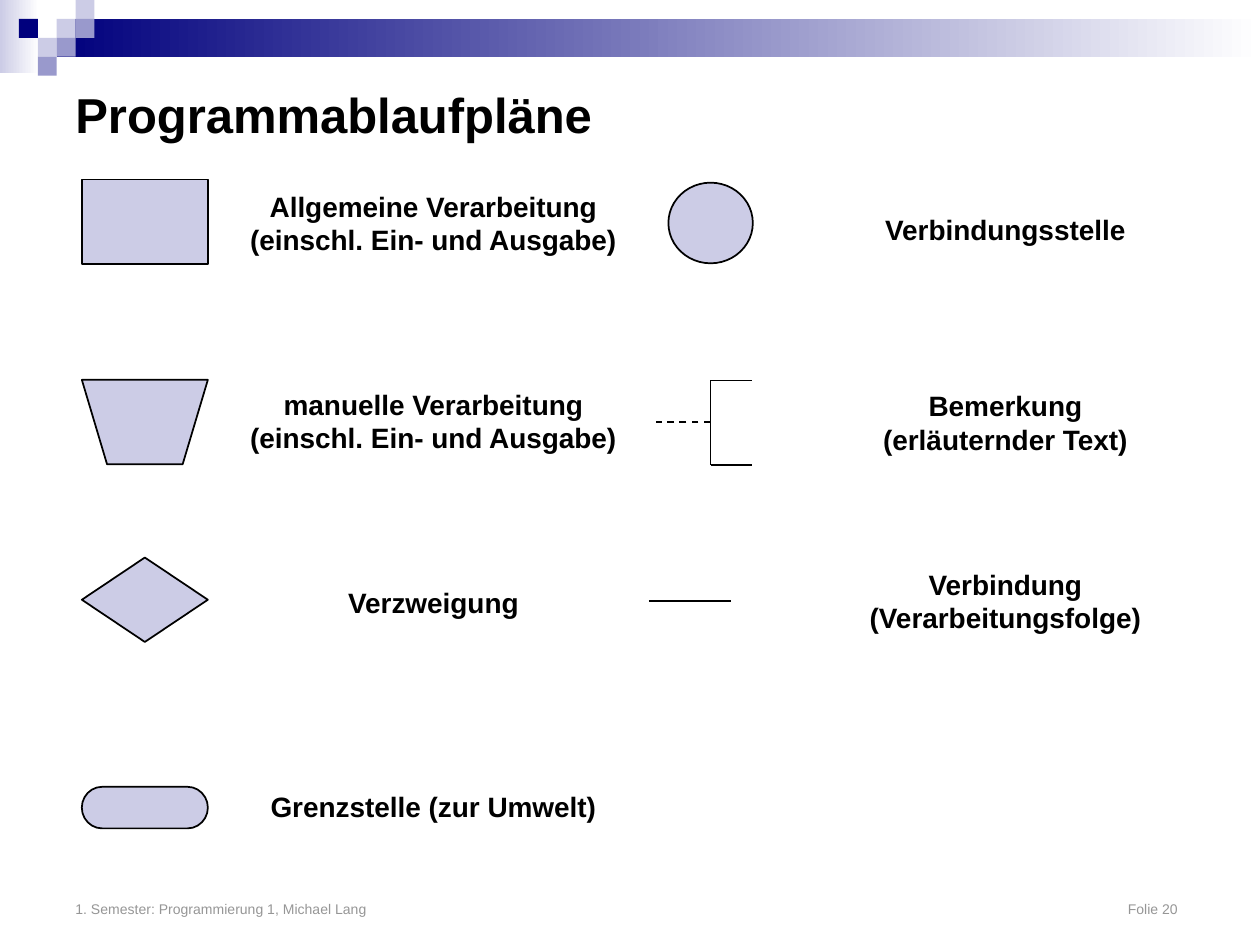
from lxml import etree
from pptx import Presentation
from pptx.dml.color import RGBColor
from pptx.enum.dml import MSO_LINE
from pptx.enum.shapes import MSO_CONNECTOR, MSO_SHAPE
from pptx.enum.text import MSO_ANCHOR, PP_ALIGN
from pptx.oxml.ns import qn
from pptx.util import Inches, Pt

RECTANGLE = MSO_SHAPE.RECTANGLE
PROCESS = MSO_SHAPE.FLOWCHART_PROCESS
MANUAL = MSO_SHAPE.FLOWCHART_MANUAL_OPERATION
DECISION = MSO_SHAPE.FLOWCHART_DECISION
TERMINATOR = MSO_SHAPE.FLOWCHART_TERMINATOR
CONNECTION = MSO_SHAPE.FLOWCHART_CONNECTOR
STRAIGHT = MSO_CONNECTOR.STRAIGHT
DASH = MSO_LINE.DASH
LEFT, CENTER = PP_ALIGN.LEFT, PP_ALIGN.CENTER
MIDDLE, BOTTOM = MSO_ANCHOR.MIDDLE, MSO_ANCHOR.BOTTOM

COLORS = {
    name: RGBColor.from_string(value)
    for name, value in {
        "navy": "00007D", "violet": "9999CC", "lilac": "CCCCE6",
        "white": "FFFFFF", "black": "000000", "gray": "969696",
    }.items()
}

prs = Presentation()
prs.slide_width, prs.slide_height = Inches(10), Inches(7.5)
slide = prs.slides.add_slide(prs.slide_layouts[6])
shapes = slide.shapes


def write(text, left, top, width, height, size=16, bold=True, color="black",
          align=CENTER, anchor=MIDDLE):
    """Add a text box, given in inches, and return its paragraph."""
    box = shapes.add_textbox(*map(Inches, (left, top, width, height)))
    frame = box.text_frame
    frame.word_wrap = True
    frame.vertical_anchor = anchor
    paragraph = frame.paragraphs[0]
    paragraph.text = text
    paragraph.alignment = align
    for run in paragraph.runs:
        run.font.name = "Arial"
        run.font.size = Pt(size)
        run.font.bold = bold
        run.font.color.rgb = COLORS[color]
    return paragraph


def add_figure(preset, left, top, width, height, fill, outlined=False):
    """Add a preset shape; a pair of colours gives a left-to-right gradient."""
    figure = shapes.add_shape(preset, *map(Inches, (left, top, width, height)))
    figure.shadow.inherit = False
    if isinstance(fill, tuple):
        figure.fill.gradient()
        figure.fill.gradient_angle = 0
        for stop, name, position in zip(figure.fill.gradient_stops, fill, (0, 1)):
            stop.color.rgb = COLORS[name]
            stop.position = position
    else:
        figure.fill.solid()
        figure.fill.fore_color.rgb = COLORS[fill]
    if outlined:
        figure.line.color.rgb = COLORS["black"]
        figure.line.width = Pt(1)
    else:
        figure.line.fill.background()


# Header band with its mosaic of squares
TILE = 0.15
add_figure(RECTANGLE, 0, 0, 0.31, 0.58, ("lilac", "white"))
add_figure(RECTANGLE, 3 * TILE, TILE, 10 - 3 * TILE, 2 * TILE, ("navy", "white"))
for column, row, color in [
    (3, 1, "lilac"), (4, 0, "lilac"), (4, 1, "violet"), (2, 2, "lilac"),
    (1, 1, "navy"), (3, 2, "violet"), (2, 3, "violet"),
]:
    add_figure(RECTANGLE, column * TILE, row * TILE, TILE, TILE, color)

# Title and footer
write("Programmablaufpläne", 0.5, 0.5, 9, 0.81, size=28, align=LEFT)
footer = write("1. Semester: Programmierung 1, Michael Lang\tFolie 20",
               0.5, 6.83, 9, 0.5, size=8, bold=False, color="gray",
               align=LEFT, anchor=BOTTOM)
tab_list = etree.SubElement(footer._p.get_or_add_pPr(), qn("a:tabLst"))
etree.SubElement(tab_list, qn("a:tab"), pos=str(Inches(8.75)), algn="r")

# Flowchart symbols, centred on the rows
ROWS = [1.76, 3.35, 4.76, 6.41]
LEFT_SYMBOLS, RIGHT_SYMBOLS = 1.15, 5.64
for preset, center, middle, width, height in [
    (PROCESS, LEFT_SYMBOLS, ROWS[0], 1, 0.67),
    (MANUAL, LEFT_SYMBOLS, ROWS[1], 1, 0.67),
    (DECISION, LEFT_SYMBOLS, ROWS[2], 1, 0.67),
    (TERMINATOR, LEFT_SYMBOLS, ROWS[3], 1, 0.33),
    (CONNECTION, RIGHT_SYMBOLS, ROWS[0] + 0.01, 0.67, 0.64),
]:
    add_figure(preset, center - width / 2, middle - height / 2, width, height,
               "lilac", outlined=True)

# Connection line, then the bracket of the remark symbol
bracket_top, bracket_bottom = 3.02, 3.69
for x1, y1, x2, y2, dash in [
    (5.15, 4.77, 5.8, 4.77, None),
    (RIGHT_SYMBOLS, bracket_top, RIGHT_SYMBOLS, bracket_bottom, None),
    (RIGHT_SYMBOLS, ROWS[1], 5.21, ROWS[1], DASH),
    (RIGHT_SYMBOLS, bracket_bottom, 5.97, bracket_bottom, None),
    (RIGHT_SYMBOLS, bracket_top, 5.97, bracket_top, None),
]:
    stroke = shapes.add_connector(STRAIGHT, *map(Inches, (x1, y1, x2, y2)))
    stroke.line.color.rgb = COLORS["black"]
    stroke.line.width = Pt(1)
    if dash:
        stroke.line.dash_style = dash
    etree.SubElement(stroke._element.spPr, qn("a:effectLst"))

# Meanings of the symbols
LEFT_LABELS, RIGHT_LABELS = 3.44, 7.98
for meaning, center, middle, width, height in [
    ("Allgemeine Verarbeitung\n(einschl. Ein- und Ausgabe)", LEFT_LABELS, 1.77, 3.2, 0.64),
    ("manuelle Verarbeitung\n(einschl. Ein- und Ausgabe)", LEFT_LABELS, 3.34, 3.2, 0.64),
    ("Verzweigung", LEFT_LABELS, 4.78, 1.57, 0.37),
    ("Grenzstelle (zur Umwelt)", LEFT_LABELS, 6.4, 2.85, 0.37),
    ("Verbindungsstelle", RIGHT_LABELS, 1.82, 2.16, 0.37),
    ("Bemerkung\n(erläuternder Text)", RIGHT_LABELS, 3.35, 2.2, 0.64),
    ("Verbindung\n(Verarbeitungsfolge)", RIGHT_LABELS, 4.77, 2.4, 0.64),
]:
    write(meaning, center - width / 2, middle - height / 2, width, height)

prs.save("out.pptx")
